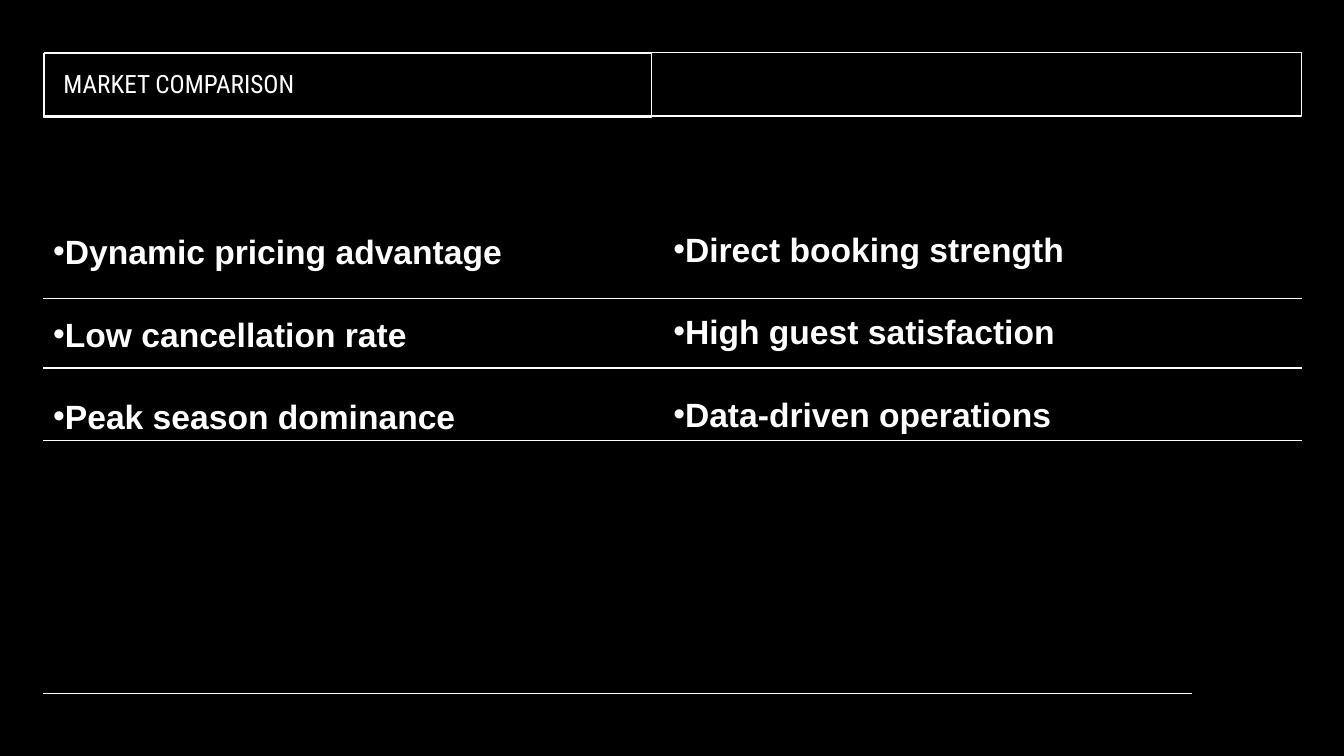
from dataclasses import dataclass

from lxml.etree import SubElement
from pptx import Presentation
from pptx.dml.color import RGBColor
from pptx.enum.shapes import MSO_CONNECTOR as CONNECTOR, MSO_SHAPE as SHAPE
from pptx.enum.text import MSO_ANCHOR as ANCHOR, PP_ALIGN as ALIGN
from pptx.oxml.ns import qn
from pptx.util import Inches, Pt


@dataclass(frozen=True)
class Theme:
    background: RGBColor = RGBColor(0, 0, 0)
    ink: RGBColor = RGBColor(255, 255, 255)
    line_width: int = Pt(1)
    title_font: str = "Roboto Condensed"
    title_size: int = Pt(18)
    body_font: str = "Arial"
    body_size: int = Pt(24)
    item_gap: int = Pt(30)


THEME = Theme()
LEFT, RIGHT = 0.43, 12.91
STRENGTHS = ["Dynamic pricing advantage", "Low cancellation rate", "Peak season dominance"]
RESULTS = ["Direct booking strength", "High guest satisfaction", "Data-driven operations"]


def add_rule(s, y, right=RIGHT):
    """Draw a horizontal line from the left margin."""
    line = s.shapes.add_connector(
        CONNECTOR.STRAIGHT, Inches(LEFT), Inches(y), Inches(right), Inches(y))
    line.line.color.rgb = THEME.ink
    line.line.width = THEME.line_width
    SubElement(line._element.spPr, qn("a:effectLst"))


def add_frame(s, left, top, width, height):
    sp = s.shapes.add_shape(
        SHAPE.RECTANGLE, Inches(left), Inches(top), Inches(width), Inches(height))
    sp.shadow.inherit = False
    sp.fill.background()
    sp.line.color.rgb = THEME.ink
    sp.line.width = THEME.line_width
    return sp


def style_run(r, font, size, bold=False):
    r.font.name = font
    r.font.size = size
    r.font.bold = bold
    r.font.color.rgb = THEME.ink


def add_title(s, text):
    tf = add_frame(s, LEFT, 0.53, 6.03, 0.63).text_frame
    tf.text = text
    tf.margin_left = Inches(0.2)
    tf.vertical_anchor = ANCHOR.MIDDLE
    p = tf.paragraphs[0]
    p.alignment = ALIGN.LEFT
    p.line_spacing = 0.9
    style_run(p.runs[0], THEME.title_font, THEME.title_size)


def add_bullet(p):
    pPr = p._p.get_or_add_pPr()
    pPr.set("marL", "0")
    pPr.set("indent", "0")
    SubElement(pPr, qn("a:buFont"), typeface=THEME.body_font)
    SubElement(pPr, qn("a:buChar"), char="•")


def add_bullet_list(s, items, left, top, width, height, anchor, margin_top):
    sp = s.shapes.add_textbox(Inches(left), Inches(top), Inches(width), Inches(height))
    tf = sp.text_frame
    tf.word_wrap = True
    tf.vertical_anchor = anchor
    tf.margin_top = Inches(margin_top)
    tf.text = "\n".join(items)
    for i, p in enumerate(tf.paragraphs):
        if i:
            p.space_before = THEME.item_gap
        add_bullet(p)
        style_run(p.runs[0], THEME.body_font, THEME.body_size, bold=True)


def main():
    prs = Presentation()
    prs.slide_width, prs.slide_height = Inches(13.33), Inches(7.5)
    s = prs.slides.add_slide(prs.slide_layouts[6])
    s.background.fill.solid()
    s.background.fill.fore_color.rgb = THEME.background

    add_rule(s, 6.88, right=11.82)
    add_frame(s, 0.44, 0.52, 12.47, 0.63)
    add_title(s, "MARKET COMPARISON")
    add_bullet_list(s, RESULTS, 6.58, 2.27, 6.34, 3.72, ANCHOR.TOP, 0)
    for y in (2.96, 3.65, 4.37):
        add_rule(s, y)
    add_bullet_list(s, STRENGTHS, LEFT, 2.25, 4.77, 2.12, ANCHOR.MIDDLE, 0.05)
    prs.save("out.pptx")


if __name__ == "__main__":
    main()
